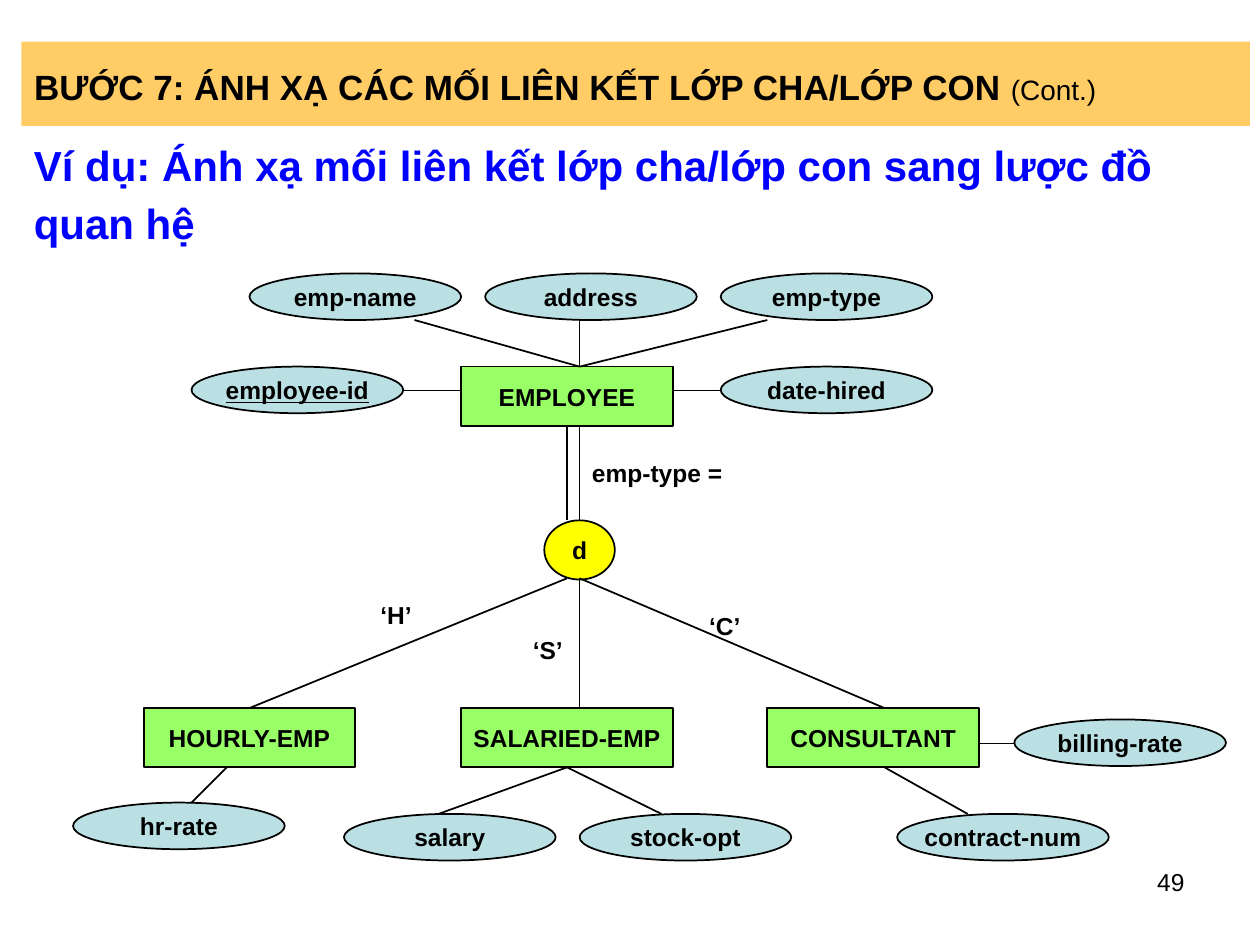
"""Build the slide on mapping superclass/subclass relationships."""
import pptx
import pptx.dml.color
import pptx.enum.shapes
import pptx.enum.text
import pptx.oxml
import pptx.util
from pptx.util import Inches

SHAPES = pptx.enum.shapes.MSO_SHAPE
ALIGN = pptx.enum.text.PP_ALIGN
ANCHOR = pptx.enum.text.MSO_ANCHOR
EFFECTS = '<a:effectLst xmlns:a="http://schemas.openxmlformats.org/drawingml/2006/main"/>'

ATTRIBUTE_SIZE = (1.68, 0.37)
ENTITY_SIZE = (1.68, 0.47)
TOP, BOTTOM = 0, 2


def colour(value):
    return pptx.dml.color.RGBColor.from_string(value)


class Diagram:
    """Holds the style and the slide that is being drawn."""

    font = "Arial"
    ink = "000000"
    label = {"size": pptx.util.Pt(14), "bold": True}

    def __init__(self, slide):
        self.slide = slide

    def style_font(self, font, values, ink=None):
        for name, value in {"name": self.font, **values}.items():
            setattr(font, name, value)
        font.color.rgb = colour(ink or self.ink)

    def fill_text(self, box, spans, align, wrap=True, anchor=ANCHOR.MIDDLE, spacing=None, ink=None):
        frame = box.text_frame
        layout = {"word_wrap": wrap, "vertical_anchor": anchor,
                  "auto_size": pptx.enum.text.MSO_AUTO_SIZE.NONE}
        for name, value in layout.items():
            setattr(frame, name, value)
        para = frame.paragraphs[0]
        para.alignment = align
        if spacing:
            para.line_spacing = spacing
        for text, values in spans:
            span = para.add_run()
            span.text = text
            self.style_font(span.font, values, ink)

    def title(self, spans, left, top, width, height, fill):
        box = self.slide.shapes.title
        place = {"left": left, "top": top, "width": width, "height": height}
        for name, value in place.items():
            setattr(box, name, Inches(value))
        box.fill.solid()
        box.fill.fore_color.rgb = colour(fill)
        self.fill_text(box, spans, ALIGN.LEFT, spacing=1.15)

    def text(self, text, left, top, width, height, values=None, align=ALIGN.LEFT, **options):
        box = self.slide.shapes.add_textbox(*map(Inches, (left, top, width, height)))
        self.fill_text(box, [(text, values or self.label)], align, **options)

    def node(self, kind, text, left, top, size, fill, **extra):
        box = self.slide.shapes.add_shape(kind, *map(Inches, (left, top, *size)))
        box.shadow.inherit = False
        box.fill.solid()
        box.fill.fore_color.rgb = colour(fill)
        box.line.color.rgb = colour(self.ink)
        box.line.width = pptx.util.Pt(1)
        self.fill_text(box, [(text, {**self.label, **extra})], ALIGN.CENTER, wrap=False)
        return box

    def entity(self, text, left, top):
        return self.node(SHAPES.RECTANGLE, text, left, top, ENTITY_SIZE, "99FF66")

    def attribute(self, text, left, top, **extra):
        return self.node(SHAPES.OVAL, text, left, top, ATTRIBUTE_SIZE, "BBE0E3", **extra)

    def link(self, start, end, source=None, target=None):
        line = self.slide.shapes.add_connector(
            pptx.enum.shapes.MSO_CONNECTOR.STRAIGHT, *map(Inches, (*start, *end)))
        line.line.color.rgb = colour(self.ink)
        line.line.width = pptx.util.Pt(1)
        line._element.spPr.append(pptx.oxml.parse_xml(EFFECTS))
        if source:
            line.begin_connect(*source)
        if target:
            line.end_connect(*target)


def main():
    deck = pptx.Presentation()
    deck.slide_width, deck.slide_height = Inches(10), Inches(7.5)
    page = Diagram(deck.slides.add_slide(deck.slide_layouts[5]))

    page.title(
        [("BƯỚC 7: ÁNH XẠ CÁC MỐI LIÊN KẾT LỚP CHA/LỚP CON ",
          {"size": pptx.util.Pt(20), "bold": True}),
         ("(Cont.)", {"size": pptx.util.Pt(16), "bold": False})],
        0.17, 0.33, 9.75, 0.67, "FFCC66")
    page.text("Ví dụ: Ánh xạ mối liên kết lớp cha/lớp con sang lược đồ quan hệ",
              0.17, 1.17, 9.75, 0.67, {"size": pptx.util.Pt(24), "bold": True},
              spacing=1.15, ink="0000FF")

    employee = page.entity("EMPLOYEE", 3.66, 2.91)
    hourly = page.entity("HOURLY-EMP", 1.14, 5.62)
    salaried = page.entity("SALARIED-EMP", 3.66, 5.62)
    page.entity("CONSULTANT", 6.09, 5.62)

    for column, name in enumerate(("emp-name", "address", "emp-type")):
        page.attribute(name, 1.98 + 1.87 * column, 2.17)
    page.attribute("employee-id", 1.52, 2.91, underline=True)
    for name, left, top in (
            ("date-hired", 5.72, 2.91), ("billing-rate", 8.05, 5.71),
            ("hr-rate", 0.58, 6.37), ("salary", 2.73, 6.46),
            ("stock-opt", 4.6, 6.46), ("contract-num", 7.12, 6.46)):
        page.attribute(name, left, top)
    page.node(SHAPES.OVAL, "d", 4.32, 4.13, (0.56, 0.47), "FFFF00")

    employee_top, disjoint_bottom = (4.6, 2.91), (4.6, 4.59)
    for start, end in (
            (employee_top, (3.29, 2.54)), (employee_top, (4.6, 2.54)),
            (employee_top, (6.09, 2.54)), ((3.66, 3.1), (3.2, 3.1)),
            ((5.34, 3.1), (5.72, 3.1)), ((4.6, 3.38), (4.6, 4.13)),
            (disjoint_bottom, (4.6, 5.62)), (disjoint_bottom, (7.02, 5.62)),
            ((1.8, 6.09), (1.52, 6.37)), ((7.02, 6.09), (7.68, 6.46)),
            ((7.77, 5.9), (8.05, 5.9)), ((5.25, 5.53), (5.25, 5.53))):
        page.link(start, end)
    page.link((4.5, 3.38), (4.5, 4.13), source=(employee, BOTTOM))
    page.link((4.5, 4.59), (1.98, 5.62), target=(hourly, TOP))
    for end in ((3.48, 6.46), (5.25, 6.46)):
        page.link((4.5, 6.09), end, source=(salaried, BOTTOM))

    for text, left, top, width in (
            ("emp-type =", 4.6, 3.57, 2.24), ("‘H’", 2.92, 4.69, 0.65),
            ("‘S’", 4.13, 4.97, 0.65), ("‘C’", 5.53, 4.78, 0.65)):
        page.text(text, left, top, width, 0.37, wrap=False)
    page.text("49", 7.17, 6.83, 2.33, 0.52, {"size": pptx.util.Pt(14)},
              ALIGN.RIGHT, anchor=ANCHOR.TOP)

    deck.save("out.pptx")


if __name__ == "__main__":
    main()
